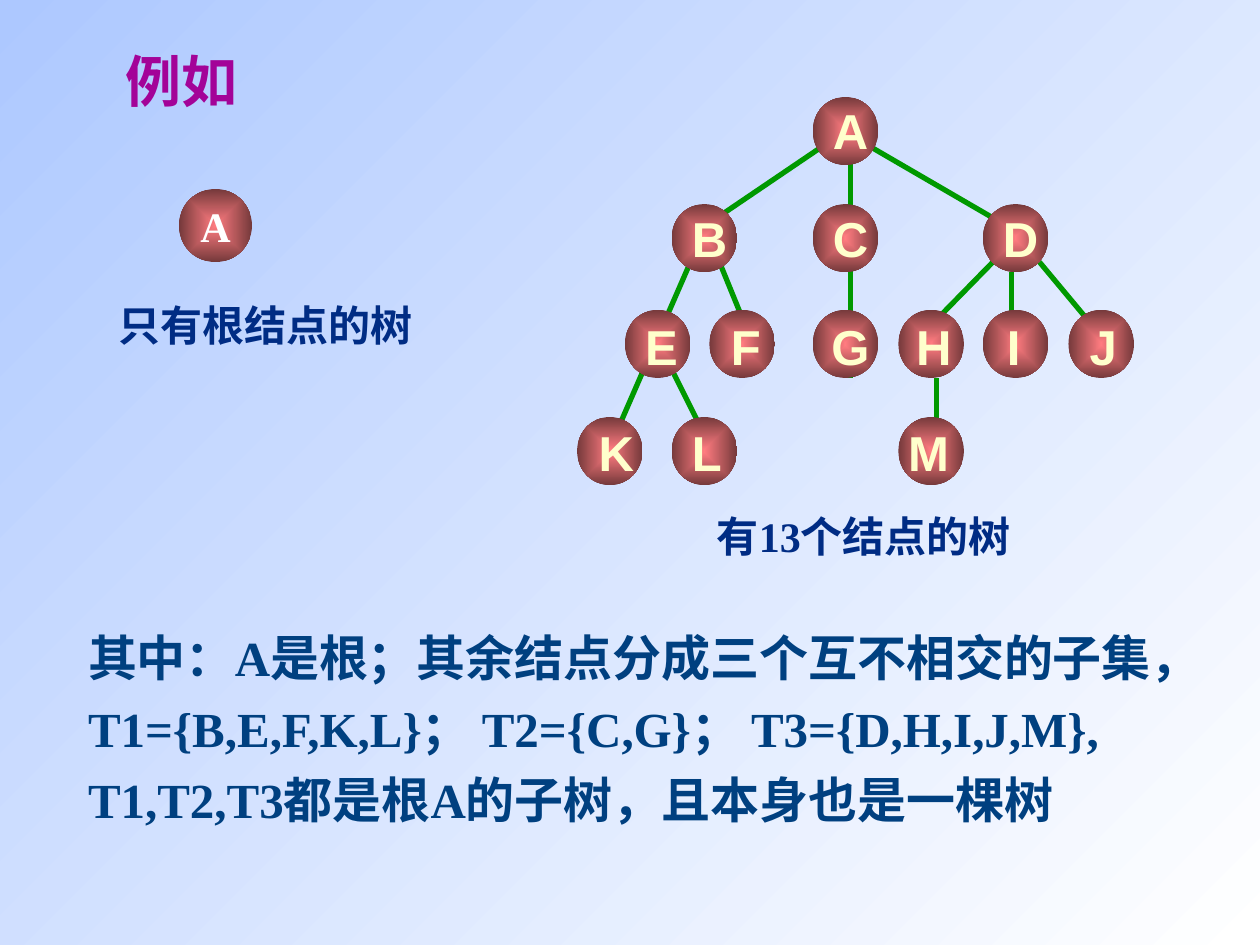
from lxml import etree
from pptx import Presentation
from pptx import util as u
from pptx.dml import color
from pptx.enum import shapes, text
from pptx.oxml import ns

SERIF = "Times New Roman"
NODE_COLORS = ("FF7C80", "75393B")
NODE_SIZE = (0.52, 0.54)
LABEL_HEIGHT = 0.57

# letter, node left, label left, label width
LEVELS = [
    (0.77, 0.75, [("A", 6.45, 6.51, 0.48)]),
    (1.62, 1.6, [("B", 5.33, 5.39, 0.48), ("C", 6.45, 6.51, 0.48),
                 ("D", 7.8, 7.86, 0.48)]),
    (2.46, 2.46, [("E", 4.96, 5.02, 0.46), ("F", 5.63, 5.7, 0.44),
                  ("G", 6.45, 6.5, 0.5), ("H", 7.13, 7.17, 0.48),
                  ("I", 7.8, 7.89, 0.31), ("J", 8.48, 8.55, 0.41)]),
    (3.31, 3.3, [("K", 4.58, 4.65, 0.48), ("L", 5.33, 5.39, 0.44),
                 ("M", 7.13, 7.11, 0.52)]),
]

BRANCHES = {
    "DJ": (8.25, 2.08, 8.7, 2.62),
    "DH": (7.88, 2.08, 7.43, 2.54),
    "DI": (8.03, 2.16, 8.03, 2.54),
    "HM": (7.43, 3, 7.43, 3.46),
    "AD": (6.9, 1.16, 7.95, 1.77),
    "AB": (6.53, 1.16, 5.63, 1.77),
    "ACG": (6.75, 1.23, 6.75, 3),
    "BF": (5.71, 2.08, 5.93, 2.62),
    "EL": (5.33, 2.93, 5.56, 3.39),
    "BEK": (5.48, 2.08, 4.81, 3.62),
}

EXPLANATION = [
    "其中：A是根；其余结点分成三个互不相交的子集，",
    "T1={B,E,F,K,L}； T2={C,G}； T3={D,H,I,J,M},",
    "T1,T2,T3都是根A的子树，且本身也是一棵树",
]


def rgb(value):
    return color.RGBColor.from_string(value)


def inches(values):
    return [u.Inches(value) for value in values]


def set_gradient(fill, colors):
    fill.gradient()
    for stop, value in zip(fill.gradient_stops, colors):
        stop.color.rgb = rgb(value)


def write(shape, lines, size, font, value, centered=False, spacing=None):
    frame = shape.text_frame
    frame.word_wrap = False
    frame.vertical_anchor = text.MSO_ANCHOR.MIDDLE if centered else text.MSO_ANCHOR.TOP
    for index, line in enumerate(lines):
        paragraph = frame.add_paragraph() if index else frame.paragraphs[0]
        paragraph.alignment = text.PP_ALIGN.CENTER if centered else text.PP_ALIGN.LEFT
        paragraph.line_spacing = spacing
        run = paragraph.add_run()
        run.text = line
        run.font.size = u.Pt(size)
        run.font.name = font
        run.font.bold = True
        run.font.color.rgb = rgb(value)


def add_text(parent, box, lines, size, font, value, **options):
    shape = parent.add_textbox(*inches(box))
    write(shape, lines, size, font, value, **options)
    shape.text_frame.auto_size = text.MSO_AUTO_SIZE.SHAPE_TO_FIT_TEXT


def add_node(parent, box):
    shape = parent.add_shape(shapes.MSO_SHAPE.OVAL, *inches(box))
    shape.shadow.inherit = False
    shape.line.fill.background()
    set_gradient(shape.fill, NODE_COLORS)
    gradient = shape._element.spPr.find(ns.qn("a:gradFill"))
    gradient.remove(gradient.find(ns.qn("a:lin")))
    radial = etree.SubElement(gradient, ns.qn("a:path"), path="rect")
    center = dict.fromkeys("ltrb", "50000")
    etree.SubElement(radial, ns.qn("a:fillToRect"), center)
    return shape


def add_branch(parent, ends):
    connector = parent.add_connector(shapes.MSO_CONNECTOR.STRAIGHT, *inches(ends))
    connector.line.color.rgb = rgb("009900")
    connector.line.width = u.Pt(3)
    etree.SubElement(connector._element.spPr, ns.qn("a:effectLst"))


def add_tree(slide):
    tree = slide.shapes.add_group_shape().shapes
    for ends in BRANCHES.values():
        add_branch(tree, ends)
    for top, label_top, nodes in LEVELS:
        for letter, left, label_left, label_width in nodes:
            add_node(tree, (left, top, *NODE_SIZE))
            add_text(tree, (label_left, label_top, label_width, LABEL_HEIGHT),
                     [letter], 28, "Arial", "FFFFCC", centered=True)


def main():
    presentation = Presentation()
    presentation.slide_width = u.Inches(10)
    presentation.slide_height = u.Inches(7.5)
    slide = presentation.slides.add_slide(presentation.slide_layouts[6])
    background = slide.background.fill
    set_gradient(background, ("FFFFFF", "ADC8FF"))
    background.gradient_angle = 135

    add_tree(slide)
    add_text(slide.shapes, (0.9, 0.32, 1.09, 0.64), ["例如"], 32, SERIF, "A30398")
    root = add_node(slide.shapes, (1.42, 1.5, 0.58, 0.58))
    write(root, ["A"], 24, SERIF, "FFFFFF", centered=True)
    add_text(slide.shapes, (0.84, 2.33, 2.53, 0.5), ["只有根结点的树"],
             24, SERIF, "002C84")
    add_text(slide.shapes, (5.59, 4, 2.69, 0.5), ["有13个结点的树"],
             24, SERIF, "002C84")
    add_text(slide.shapes, (0.6, 4.84, 9.21, 1.78), EXPLANATION,
             28, SERIF, "004080", spacing=1.2)
    presentation.save("out.pptx")


if __name__ == "__main__":
    main()
